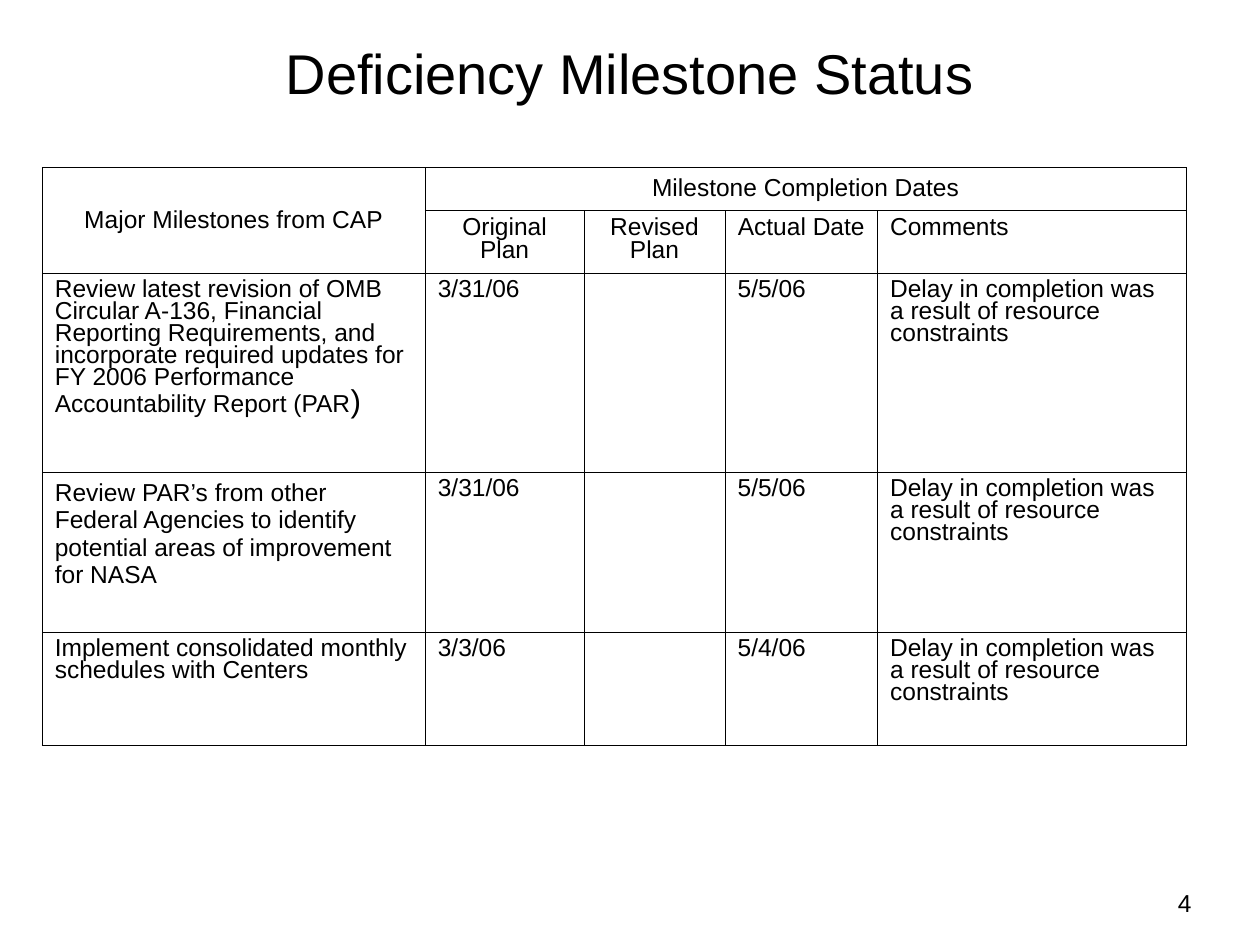
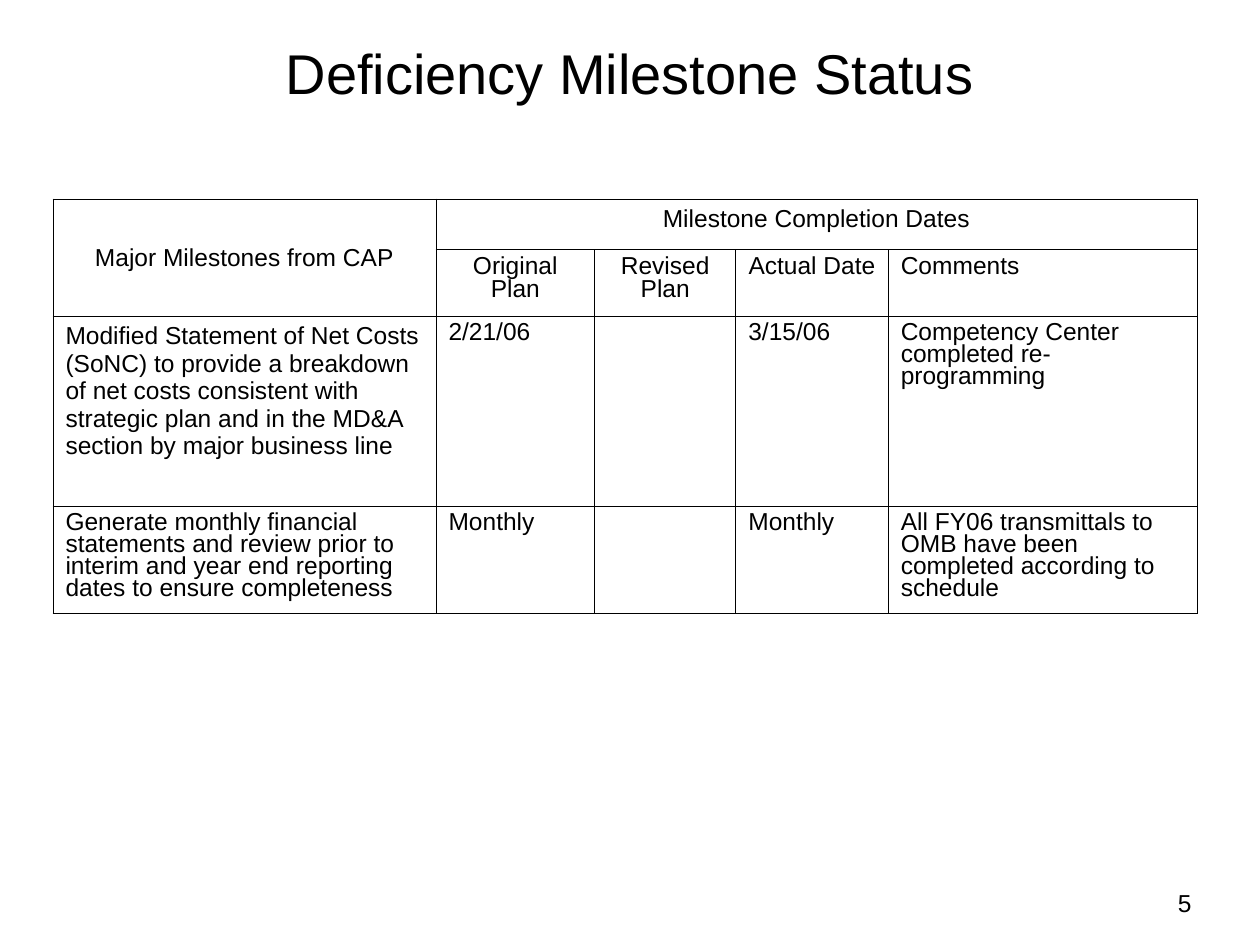
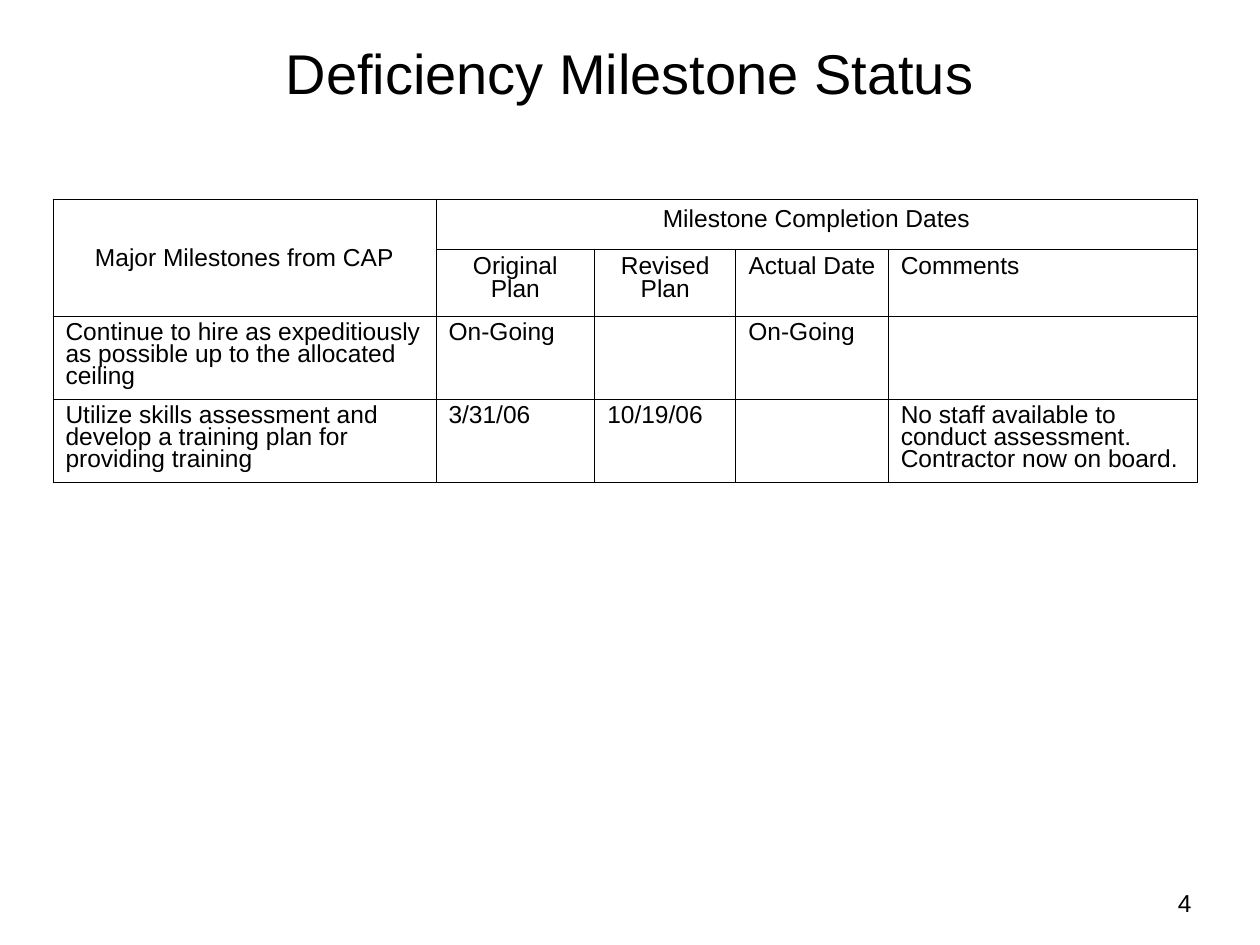
from typing import NamedTuple

import lxml.etree
import pptx
import pptx.dml.color
import pptx.enum.text
import pptx.oxml.ns
import pptx.util

# Shared look
BLACK = pptx.dml.color.RGBColor(0x00, 0x00, 0x00)
FONT = "Arial"
TITLE_SIZE, BODY_SIZE, CLOSING_SIZE = 32, 14, 18
BORDER_WIDTH = pptx.util.Pt(0.45)
HEADING_SPACING, BODY_SPACING = 0.85, 0.8
ALIGN = pptx.enum.text.PP_ALIGN
ANCHOR = pptx.enum.text.MSO_ANCHOR

# Slide grid: 100 columns by 75 rows
SLIDE_WIDTH, SLIDE_HEIGHT = pptx.util.Inches(10), pptx.util.Inches(7.5)
GRID_COLUMNS, GRID_ROWS = 100, 75

# Headings and column widths, in grid columns
TITLE = "Deficiency Milestone Status"
TASK_HEADING = "Major Milestones from CAP"
DATES_HEADING = "Milestone Completion Dates"
DATE_HEADINGS = ("Original Plan", "Revised Plan", "Actual Date", "Comments")
COLUMN_WIDTHS = (30.4, 12.6, 11.2, 12.1, 24.5)


class Box(NamedTuple):
    left: float
    top: float
    width: float
    height: float


class Milestone(NamedTuple):
    height: float
    task: str
    original: str
    revised: str
    actual: str
    comments: str
    task_spacing: float = BODY_SPACING
    closing: str = ""


class StatusPage(NamedTuple):
    number: str
    left: float
    top: float
    heading_heights: tuple[float, float]
    milestones: tuple[Milestone, ...]


TITLE_BOX = Box(5, 0, 90, 11.5)
NUMBER_BOX = Box(92.5, 70, 4.2, 3.4)
DELAY = "Delay in completion was a result of resource constraints"

PAGES = (
    StatusPage("4", 3.35, 13.3, (3.4, 5), (
        Milestone(15.8, "Review latest revision of OMB Circular A-136, Financial Reporting "
                  "Requirements, and incorporate required updates for FY 2006 Performance "
                  "Accountability Report (PAR", "3/31/06", "", "5/5/06", DELAY, closing=")"),
        Milestone(12.7, "Review PAR’s from other Federal Agencies to identify potential "
                  "areas of improvement for NASA", "3/31/06", "", "5/5/06", DELAY, 1.0),
        Milestone(9, "Implement consolidated monthly schedules with Centers",
                  "3/3/06", "", "5/4/06", DELAY),
    )),
    StatusPage("5", 4.2, 15.8, (4, 5.3), (
        Milestone(15.1, "Modified Statement of Net Costs (SoNC) to provide a breakdown of net "
                  "costs consistent with strategic plan and in the MD&A section by major "
                  "business line", "2/21/06", "", "3/15/06",
                  "Competency Center completed re-programming", 1.0),
        Milestone(8.5, "Generate monthly financial statements and review prior to interim and "
                  "year end reporting dates to ensure completeness", "Monthly", "", "Monthly",
                  "All FY06 transmittals to OMB have been completed according to schedule"),
    )),
    StatusPage("4", 4.2, 15.8, (4, 5.3), (
        Milestone(6.6, "Continue to hire as expeditiously as possible up to the allocated "
                  "ceiling", "On-Going", "", "On-Going", ""),
        Milestone(6.6, "Utilize skills assessment and develop a training plan for providing "
                  "training", "3/31/06", "10/19/06", "",
                  "No staff available to conduct assessment. Contractor now on board."),
    )),
)


def across(columns: float) -> int:
    return round(SLIDE_WIDTH * columns / GRID_COLUMNS)


def down(rows: float) -> int:
    return round(SLIDE_HEIGHT * rows / GRID_ROWS)


def place(box: Box) -> tuple[int, int, int, int]:
    return across(box.left), down(box.top), across(box.width), down(box.height)


def style_run(run, size: float) -> None:
    run.font.name = FONT
    run.font.size = pptx.util.Pt(size)
    run.font.color.rgb = BLACK


def write(frame, text: str, size: float = BODY_SIZE, align=ALIGN.LEFT, spacing: float = 1.0) -> None:
    frame.text = text
    paragraph = frame.paragraphs[0]
    paragraph.alignment = align
    paragraph.line_spacing = spacing
    for run in paragraph.runs:
        style_run(run, size)
    if not text:
        lxml.etree.SubElement(paragraph._p, pptx.oxml.ns.qn("a:endParaRPr"), sz=str(size * 100))


def add_label(slide, box: Box, text: str, size: float, align, anchor) -> None:
    frame = slide.shapes.add_textbox(*place(box)).text_frame
    frame.word_wrap = True
    frame.vertical_anchor = anchor
    write(frame, text, size, align)


def outline_cell(cell) -> None:
    cell.fill.background()
    properties = cell._tc.get_or_add_tcPr()
    for position, side in enumerate(("lnL", "lnR", "lnT", "lnB")):
        line = lxml.etree.Element(pptx.oxml.ns.qn(f"a:{side}"), w=str(BORDER_WIDTH))
        fill = lxml.etree.SubElement(line, pptx.oxml.ns.qn("a:solidFill"))
        lxml.etree.SubElement(fill, pptx.oxml.ns.qn("a:srgbClr"), val=str(BLACK))
        properties.insert(position, line)


def write_headings(table) -> None:
    table.cell(0, 0).merge(table.cell(1, 0))
    table.cell(0, 1).merge(table.cell(0, len(COLUMN_WIDTHS) - 1))
    table.cell(0, 0).vertical_anchor = ANCHOR.MIDDLE
    write(table.cell(0, 0).text_frame, TASK_HEADING, align=ALIGN.CENTER)
    write(table.cell(0, 1).text_frame, DATES_HEADING, align=ALIGN.CENTER)
    for column, heading in enumerate(DATE_HEADINGS, start=1):
        align = ALIGN.LEFT if heading == DATE_HEADINGS[-1] else ALIGN.CENTER
        write(table.cell(1, column).text_frame, heading, align=align, spacing=HEADING_SPACING)


def write_milestone(table, row: int, milestone: Milestone) -> None:
    task = table.cell(row, 0).text_frame
    write(task, milestone.task, spacing=milestone.task_spacing)
    if milestone.closing:
        closing = task.paragraphs[0].add_run()
        closing.text = milestone.closing
        style_run(closing, CLOSING_SIZE)
    details = (milestone.original, milestone.revised, milestone.actual, milestone.comments)
    for column, detail in enumerate(details, start=1):
        write(table.cell(row, column).text_frame, detail, spacing=BODY_SPACING)


def add_status_table(slide, page: StatusPage) -> None:
    heights = (*page.heading_heights, *(milestone.height for milestone in page.milestones))
    box = Box(page.left, page.top, sum(COLUMN_WIDTHS), sum(heights))
    table = slide.shapes.add_table(len(heights), len(COLUMN_WIDTHS), *place(box)).table
    table.first_row = table.horz_banding = False
    for column, width in zip(table.columns, COLUMN_WIDTHS):
        column.width = across(width)
    for row, height in zip(table.rows, heights):
        row.height = down(height)
    for cell in table.iter_cells():
        outline_cell(cell)
    write_headings(table)
    for row, milestone in enumerate(page.milestones, start=len(page.heading_heights)):
        write_milestone(table, row, milestone)


def main() -> None:
    deck = pptx.Presentation()
    deck.slide_width, deck.slide_height = SLIDE_WIDTH, SLIDE_HEIGHT
    blank = deck.slide_layouts[6]
    for page in PAGES:
        slide = deck.slides.add_slide(blank)
        add_label(slide, TITLE_BOX, TITLE, TITLE_SIZE, ALIGN.CENTER, ANCHOR.MIDDLE)
        add_status_table(slide, page)
        add_label(slide, NUMBER_BOX, page.number, BODY_SIZE, ALIGN.LEFT, ANCHOR.TOP)
    deck.save("out.pptx")


if __name__ == "__main__":
    main()
